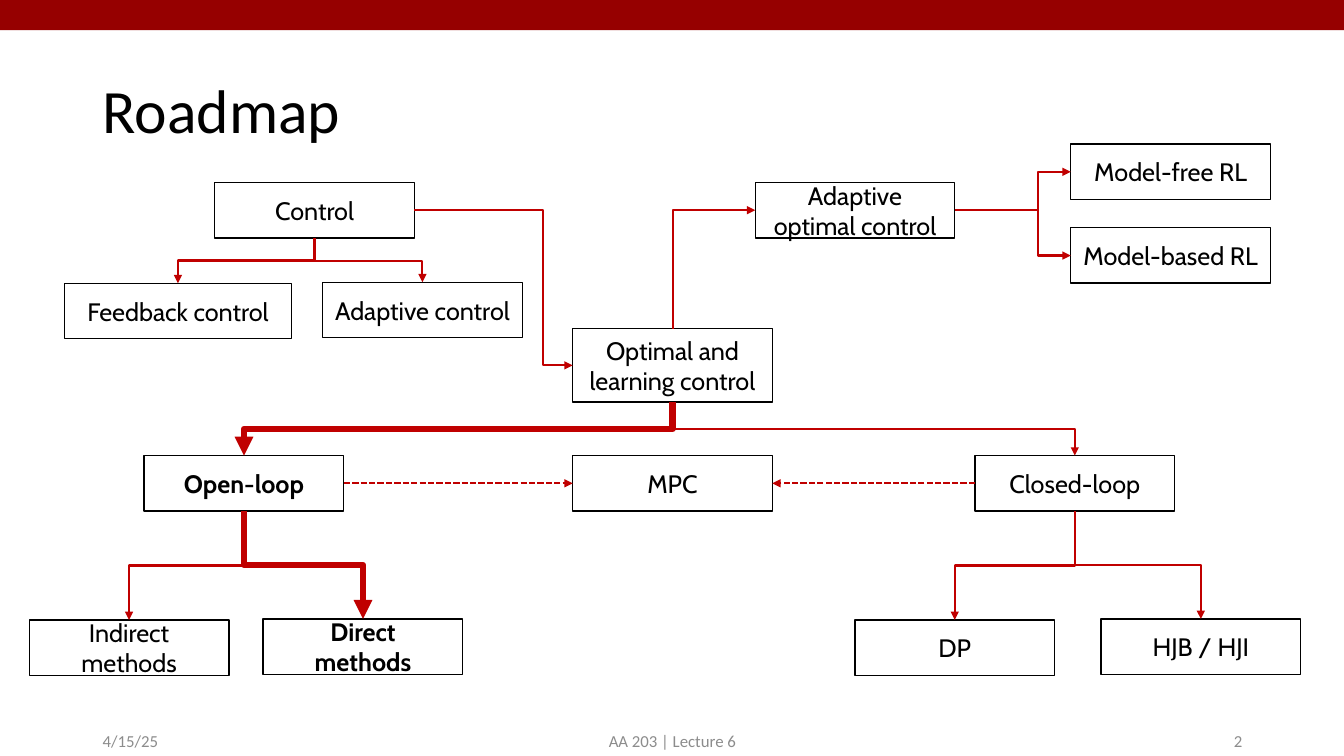
"""Build the control roadmap slide: a tree of topic boxes joined by elbow arrows."""
from copy import deepcopy

from lxml.etree import SubElement
from pptx import Presentation
from pptx.dml.color import RGBColor
from pptx.enum.dml import MSO_LINE
from pptx.enum.shapes import MSO_CONNECTOR, MSO_SHAPE
from pptx.enum.text import MSO_ANCHOR, PP_ALIGN
from pptx.oxml.ns import qn
from pptx.util import Inches, Pt

COLORS = {"banner": "960000", "arrow": "C00000", "text": "000000", "footer": "8C8C8C"}
RGB = {name: RGBColor.from_string(value) for name, value in COLORS.items()}
TOP, LEFT, BOTTOM, RIGHT = range(4)


def write(sp, text, size, font="Calibri", color="text", bold=False,
          align=PP_ALIGN.LEFT, spacing=None):
    tf = sp.text_frame
    tf.word_wrap = True
    tf.vertical_anchor = MSO_ANCHOR.MIDDLE
    for i, line in enumerate(text.split("\n")):
        p = tf.add_paragraph() if i else tf.paragraphs[0]
        p.alignment = align
        p.line_spacing = spacing
        r = p.add_run()
        r.text = line
        r.font.name, r.font.size, r.font.bold = font, Pt(size), bold
        r.font.color.rgb = RGB[color]


prs = Presentation()
prs.slide_width, prs.slide_height = Inches(13.33), Inches(7.5)
s = prs.slides.add_slide(prs.slide_layouts[6])

banner = s.shapes.add_shape(MSO_SHAPE.RECTANGLE, 0, 0, prs.slide_width, Inches(0.3))
banner.shadow.inherit = False
banner.fill.solid()
banner.fill.fore_color.rgb = RGB["banner"]
banner.line.fill.background()

title = s.shapes.add_textbox(Inches(0.92), Inches(0.4), Inches(11.5), Inches(1.45))
write(title, "Roadmap", 44, spacing=0.9)

for text, x, w, align in [("4/15/25", 0.92, 3, PP_ALIGN.LEFT),
                          ("AA 203 | Lecture 6", 4.42, 4.5, PP_ALIGN.CENTER),
                          ("2", 9.42, 3, PP_ALIGN.RIGHT)]:
    footer = s.shapes.add_textbox(Inches(x), Inches(7.15), Inches(w), Inches(0.4))
    write(footer, text, 12, color="footer", align=align)

BOX_W, BOX_H = 1.98, 0.55
topics = {
    "control": ("Control", 2.13, 1.81, BOX_W, BOX_H),
    "feedback": ("Feedback control", 0.64, 2.81, 2.25, BOX_H),
    "adaptive": ("Adaptive control", 3.2, 2.8, BOX_W, BOX_H),
    "optimal": ("Optimal and learning control", 5.68, 3.26, BOX_W, 0.73),
    "adaptive optimal": ("Adaptive\noptimal control", 7.49, 1.81, BOX_W, BOX_H),
    "model-free": ("Model-free RL", 10.62, 1.43, BOX_W, BOX_H),
    "model-based": ("Model-based RL", 10.62, 2.26, BOX_W, BOX_H),
    "open": ("Open-loop", 1.43, 4.52, BOX_W, BOX_H),
    "mpc": ("MPC", 5.68, 4.52, BOX_W, BOX_H),
    "closed": ("Closed-loop", 9.67, 4.52, BOX_W, BOX_H),
    "indirect": ("Indirect methods", 0.29, 6.15, BOX_W, BOX_H),
    "direct": ("Direct\nmethods", 2.61, 6.14, BOX_W, BOX_H),
    "dp": ("DP", 8.48, 6.15, BOX_W, BOX_H),
    "hjb": ("HJB / HJI", 10.92, 6.14, BOX_W, BOX_H),
}
boxes = {}
for name, (text, *frame) in topics.items():
    sp = s.shapes.add_shape(MSO_SHAPE.RECTANGLE, *map(Inches, frame))
    sp.shadow.inherit = False
    sp.fill.background()
    sp.line.color.rgb, sp.line.width = RGB["text"], Pt(1)
    write(sp, text, 18, font="Cabin", bold=name in ("open", "direct"),
          align=PP_ALIGN.CENTER)
    boxes[name] = sp

THIN, THICK = 1.5, 4.5
arrows = [
    ("control", BOTTOM, "feedback", TOP, THIN, 0.5),
    ("control", BOTTOM, "adaptive", TOP, THIN, 0.52),
    ("control", RIGHT, "optimal", LEFT, THIN, 0.81),
    ("optimal", TOP, "adaptive optimal", LEFT, THIN, 0.5),
    ("adaptive optimal", RIGHT, "model-free", LEFT, THIN, 0.72),
    ("adaptive optimal", RIGHT, "model-based", LEFT, THIN, 0.72),
    ("optimal", BOTTOM, "open", TOP, THICK, 0.5),
    ("optimal", BOTTOM, "closed", TOP, THIN, 0.5),
    ("open", RIGHT, "mpc", LEFT, THIN, 0.5),
    ("closed", LEFT, "mpc", RIGHT, THIN, 0.5),
    ("open", BOTTOM, "indirect", TOP, THIN, 0.5),
    ("open", BOTTOM, "direct", TOP, THICK, 0.5),
    ("closed", BOTTOM, "dp", TOP, THIN, 0.5),
    ("closed", BOTTOM, "hjb", TOP, THIN, 0.5),
]
SITE_OFFSET = {TOP: (0.5, 0), LEFT: (0, 0.5), BOTTOM: (0.5, 1), RIGHT: (1, 0.5)}
for start, start_site, end, end_site, width, bend in arrows:
    (x1, y1), (x2, y2) = [
        (int(b.left + b.width * SITE_OFFSET[site][0]),
         int(b.top + b.height * SITE_OFFSET[site][1]))
        for b, site in ((boxes[start], start_site), (boxes[end], end_site))]
    vertical = start_site in (TOP, BOTTOM)
    if vertical:
        mx, my, dx, dy = (x1 + x2) // 2, (y1 + y2) // 2, x2 - x1, y2 - y1
        x1, y1, x2, y2 = mx - dy // 2, my + dx // 2, mx + dy // 2, my - dx // 2
    dashed = end == "mpc"
    kind = MSO_CONNECTOR.STRAIGHT if dashed else MSO_CONNECTOR.ELBOW
    arrow = s.shapes.add_connector(kind, x1, y1, x2, y2)
    props = arrow._element.spPr
    xfrm = deepcopy(props.find(qn("a:xfrm")))
    if vertical:
        xfrm.set("rot", str(90 * 60000))
    arrow.begin_connect(boxes[start], start_site)
    arrow.end_connect(boxes[end], end_site)
    props.replace(props.find(qn("a:xfrm")), xfrm)

    geom = props.find(qn("a:prstGeom"))
    if vertical and end_site == LEFT:
        geom.set("prst", "bentConnector2")
    elif not dashed:
        SubElement(geom.find(qn("a:avLst")), qn("a:gd"), name="adj1",
                   fmla=f"val {round(bend * 100000)}")
    arrow.line.color.rgb, arrow.line.width = RGB["arrow"], Pt(width)
    if dashed:
        arrow.line.dash_style = MSO_LINE.SQUARE_DOT
    SubElement(props.find(qn("a:ln")), qn("a:tailEnd"), type="triangle")
    SubElement(props, qn("a:effectLst"))

prs.save("out.pptx")
